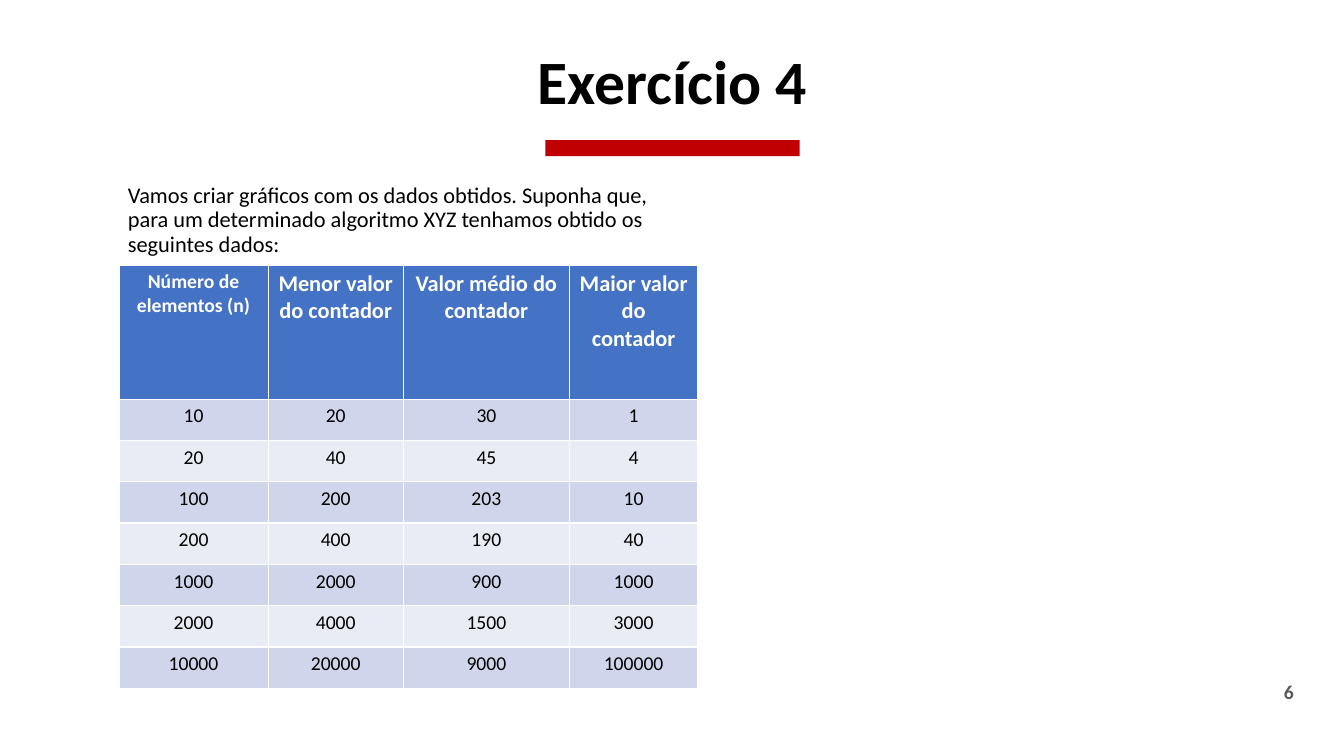
from pptx import Presentation
from pptx.dml.color import RGBColor
from pptx.enum.shapes import MSO_SHAPE
from pptx.enum.text import MSO_ANCHOR, MSO_AUTO_SIZE, PP_ALIGN
from pptx.util import Inches, Pt

COLORS = {
    "accent": "C00000",
    "text": "000000",
    "page": "595959",
    "header": "4472C4",
    "header_text": "FFFFFF",
    "odd_row": "CFD5EA",
    "even_row": "E9EBF5",
}
FONT = "Calibri"

HEADINGS = [
    "Número de elementos (n)",
    "Menor valor do contador",
    "Valor médio do contador",
    "Maior valor do contador",
]
COUNTS = [
    (10, 20, 30, 1),
    (20, 40, 45, 4),
    (100, 200, 203, 10),
    (200, 400, 190, 40),
    (1000, 2000, 900, 1000),
    (2000, 4000, 1500, 3000),
    (10000, 20000, 9000, 100000),
]
COLUMN_WIDTHS = [1.48, 1.34, 1.65, 1.27]
HEADER_HEIGHT = 1.33
ROW_HEIGHT = 0.41


class ExerciseSlide:
    def __init__(self, presentation):
        self.slide = presentation.slides.add_slide(presentation.slide_layouts[5])

    def color(self, name):
        return RGBColor.from_string(COLORS[name])

    def set_text(self, frame, text, size, color="text", bold=False,
                 align=PP_ALIGN.LEFT, spacing=1.0):
        frame.text = text
        paragraph = frame.paragraphs[0]
        paragraph.alignment = align
        paragraph.line_spacing = spacing
        font = paragraph.runs[0].font
        font.name = FONT
        font.size = Pt(size)
        font.bold = bold
        font.color.rgb = self.color(color)

    def title(self, text, left, top, width, height):
        heading = self.slide.shapes.title
        heading.left, heading.top = Inches(left), Inches(top)
        heading.width, heading.height = Inches(width), Inches(height)
        frame = heading.text_frame
        frame.auto_size = MSO_AUTO_SIZE.NONE
        frame.vertical_anchor = MSO_ANCHOR.BOTTOM
        self.set_text(frame, text, 44, bold=True, align=PP_ALIGN.CENTER, spacing=0.9)

    def bar(self, left, top, width, height):
        underline = self.slide.shapes.add_shape(
            MSO_SHAPE.RECTANGLE, Inches(left), Inches(top), Inches(width), Inches(height))
        underline.shadow.inherit = False
        underline.fill.solid()
        underline.fill.fore_color.rgb = self.color("accent")
        underline.line.fill.background()

    def text(self, text, left, top, width, height, size, **style):
        frame = self.slide.shapes.add_textbox(
            Inches(left), Inches(top), Inches(width), Inches(height)).text_frame
        frame.word_wrap = True
        self.set_text(frame, text, size, **style)

    def cell(self, cell, text, fill, size, **style):
        cell.fill.solid()
        cell.fill.fore_color.rgb = self.color(fill)
        self.set_text(cell.text_frame, text, size, align=PP_ALIGN.CENTER, **style)

    def table(self, headings, rows, left, top):
        height = HEADER_HEIGHT + ROW_HEIGHT * len(rows)
        counters = self.slide.shapes.add_table(
            len(rows) + 1, len(headings), Inches(left), Inches(top),
            Inches(sum(COLUMN_WIDTHS)), Inches(height)).table
        for column, width in zip(counters.columns, COLUMN_WIDTHS):
            column.width = Inches(width)
        for row in counters.rows:
            row.height = Inches(ROW_HEIGHT)
        counters.rows[0].height = Inches(HEADER_HEIGHT)
        for column, heading in enumerate(headings):
            self.cell(counters.cell(0, column), heading, "header",
                      16 if column else 14, color="header_text", bold=True)
        for row, values in enumerate(rows, start=1):
            fill = "odd_row" if row % 2 else "even_row"
            for column, value in enumerate(values):
                self.cell(counters.cell(row, column), str(value), fill, 14)


def main():
    presentation = Presentation()
    presentation.slide_width = Inches(13.33)
    presentation.slide_height = Inches(7.5)

    exercise = ExerciseSlide(presentation)
    exercise.bar(5.41, 1.39, 2.52, 0.16)
    exercise.text("6", 9.93, 6.7, 3, 0.4, 14, color="page", bold=True,
                  align=PP_ALIGN.RIGHT)
    exercise.title("Exercício 4", 1.17, 0.45, 11, 0.77)
    exercise.text(
        "Vamos criar gráficos com os dados obtidos. Suponha que, para um determinado "
        "algoritmo XYZ tenhamos obtido os seguintes dados:",
        1.17, 1.78, 5.76, 0.77, 16, spacing=0.9)
    exercise.table(HEADINGS, COUNTS, 1.18, 2.63)

    presentation.save("out.pptx")


if __name__ == "__main__":
    main()
